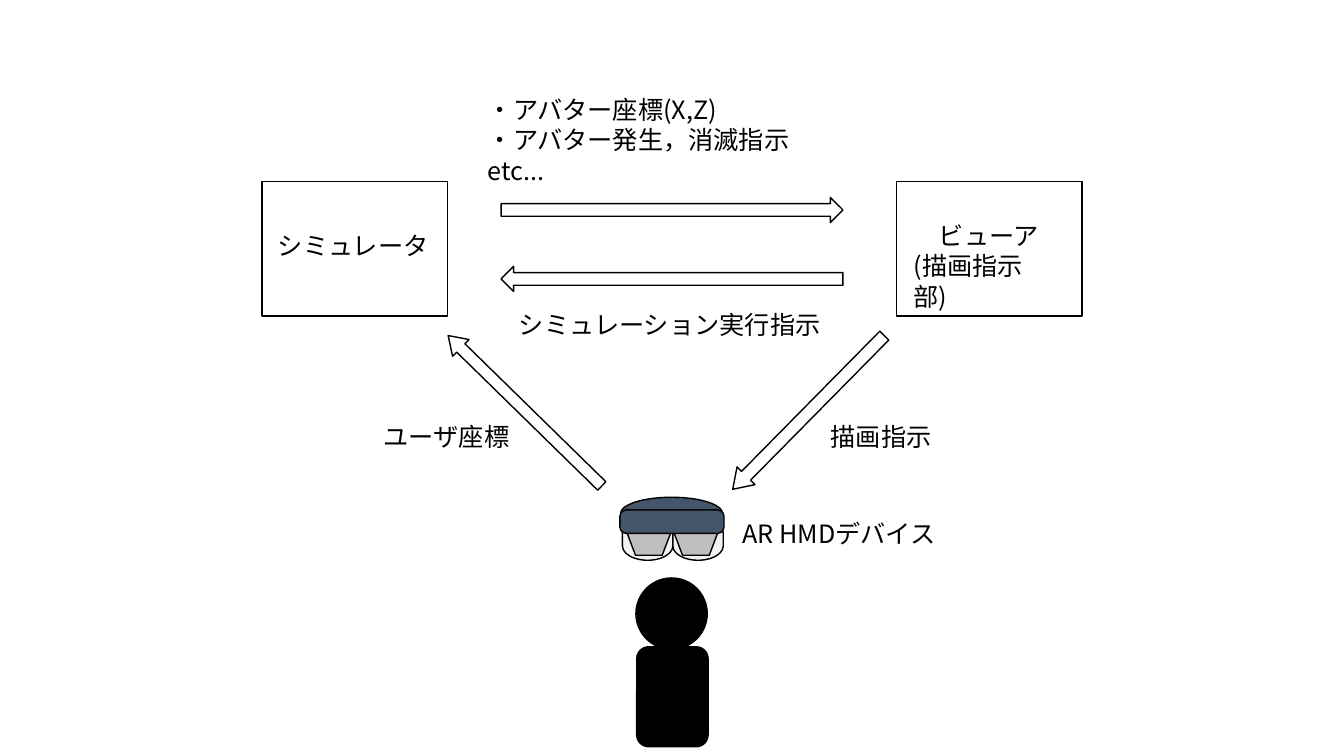
"""Build a slide showing data flow between a simulator, a viewer and an AR headset."""
from pptx import Presentation
from pptx.dml.color import RGBColor
from pptx.enum.shapes import MSO_SHAPE as Kind
from pptx.util import Inches, Pt

FONT = "Noto Sans CJK JP"
BLACK, NAVY, PALE, GREY = "000000", "44546A", "F2F2F2", "BFBFBF"
COLUMNS, ROWS = 160, 90


def color(code):
    return RGBColor.from_string(code)


def write(para, text, size=18, ink=BLACK, pitch=21.5, indent=0):
    para.line_spacing = Pt(pitch)
    if indent:
        para._p.get_or_add_pPr().set("marL", str(Pt(indent)))
    for index, piece in enumerate(text.split("\n")):
        if index:
            para.add_line_break()
        span = para.add_run()
        span.text = piece
        span.font.name, span.font.size = FONT, Pt(size)
        span.font.color.rgb = color(ink)


class Diagram:
    def __init__(self, deck, page):
        self.column = deck.slide_width / COLUMNS
        self.row = deck.slide_height / ROWS
        self.page = page
        self.target = page.shapes

    def place(self, left, top, width, height):
        return (round(left * self.column), round(top * self.row),
                round(width * self.column), round(height * self.row))

    def shape(self, kind, *area, fill=None, turn=0, adjust=()):
        shape = self.target.add_shape(kind, *self.place(*area))
        shape.shadow.inherit = False
        shape.rotation = turn
        for index, value in enumerate(adjust):
            shape.adjustments[index] = value
        if fill:
            shape.fill.solid()
            shape.fill.fore_color.rgb = color(fill)
        else:
            shape.fill.background()
        shape.line.color.rgb = color(BLACK)
        shape.line.width = Pt(1)

    def label(self, *area, lines):
        box = self.target.add_textbox(*self.place(*area))
        frame = box.text_frame
        frame.word_wrap = True
        for index, (text, style) in enumerate(lines):
            para = frame.add_paragraph() if index else frame.paragraphs[0]
            write(para, text, **style)

    def headset(self):
        self.target = self.page.shapes.add_group_shape().shapes
        self.shape(Kind.OVAL, 73.9, 59.2, 12.1, 3.8, fill=NAVY)
        for left in (75.4, 81.4):
            self.shape(Kind.FLOWCHART_DELAY, left, 62, 3.4, 6, fill=PALE, turn=90)
        for left in (74.6, 80.2):
            self.shape(Kind.FLOWCHART_MANUAL_OPERATION, left, 63.3, 5.3, 2.8, fill=GREY)
        self.shape(Kind.ROUNDED_RECTANGLE, 73.8, 60.7, 12.4, 2.8, fill=NAVY, adjust=[0.28])
        self.target = self.page.shapes


deck = Presentation()
deck.slide_width, deck.slide_height = Inches(13.33), Inches(7.5)
page = deck.slides.add_slide(deck.slide_layouts[6])
diagram = Diagram(deck, page)

NODE_WIDTH, NODE_MARGIN = 22.1, 31.2
for left in (NODE_MARGIN, COLUMNS - NODE_MARGIN - NODE_WIDTH):
    diagram.shape(Kind.RECTANGLE, left, 21.6, NODE_WIDTH, 16)

LONG, SLIM = [], [0.5, 0.75]
for left, top, length, thickness, turn, adjust in (
    (59.65, 23.5, 40.7, 3, 0, LONG),
    (59.65, 31.7, 40.7, 3, 180, LONG),
    (83.4, 47.6, 25.7, 3, 134.6, SLIM),
    (49.7, 47.5, 25.6, 2.8, 224.4, SLIM),
):
    diagram.shape(Kind.RIGHT_ARROW, left, top, length, thickness, turn=turn, adjust=adjust)

diagram.shape(Kind.OVAL, 75.7, 68.8, 8.5, 8.5, fill=BLACK)
diagram.shape(Kind.ROUNDED_RECTANGLE, 75.8, 77, 8.5, 11.9, fill=BLACK)
diagram.headset()

diagram.label(56.9, 10.7, 46.3, 8.5, lines=[
    ("・アバター座標(X,Z)", {}), ("・アバター発生，消滅指示\netc...", {})])
diagram.label(107.6, 25.7, 19.9, 8.5, lines=[
    ("ビューア", {"indent": 18}), ("(描画指示\n部)", {})])
for text, left, top, width in (
    ("シミュレータ", 31.9, 26.9, 20.8),
    ("シミュレーション実行指示", 60.6, 36.2, 38.8),
    ("描画指示", 97.7, 49.6, 14.7),
    ("ユーザ座標", 44.5, 49.6, 17.7),
    ("AR HMDデバイス", 87.2, 61.1, 27),
):
    diagram.label(left, top, width, 4.8, lines=[(text, {})])

deck.save("out.pptx")
